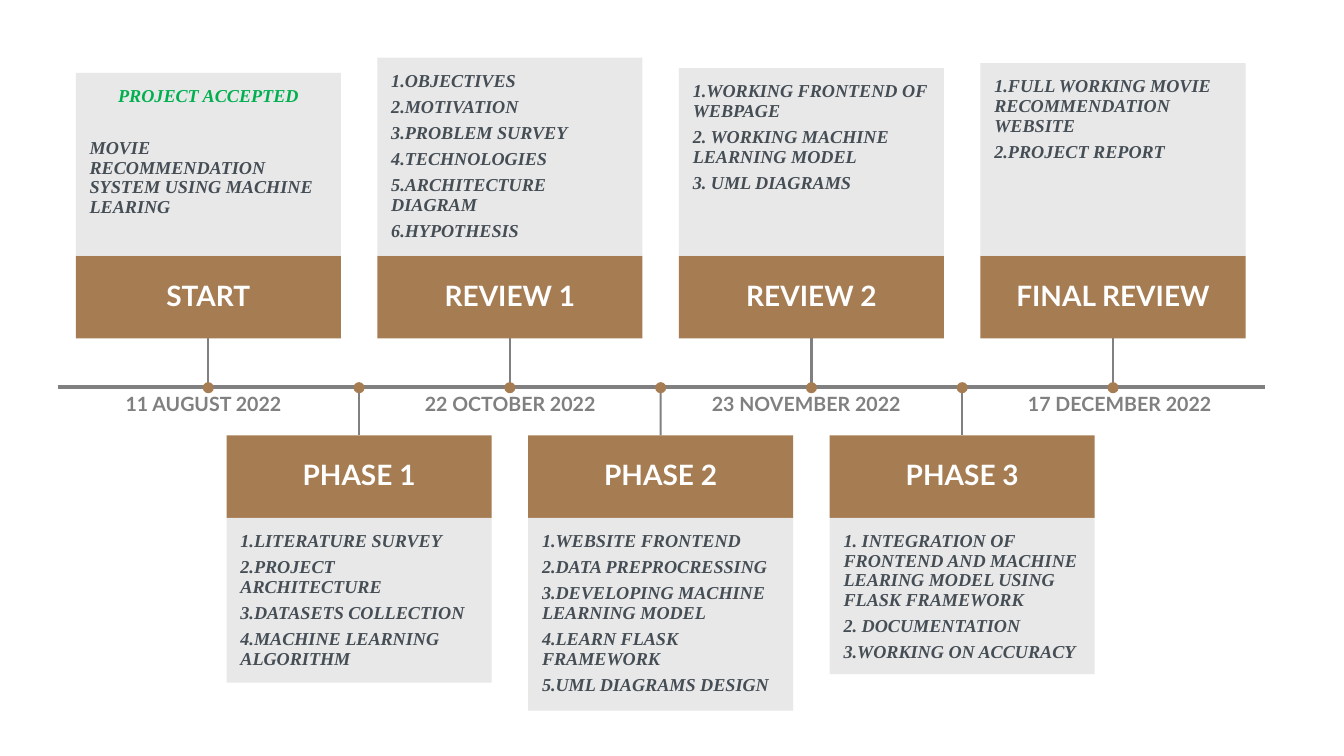
from lxml.etree import SubElement
from pptx import Presentation
from pptx.dml.color import RGBColor
from pptx.enum.shapes import MSO_CONNECTOR as Connector, MSO_SHAPE as Shape
from pptx.enum.text import MSO_ANCHOR as Anchor, PP_ALIGN as Align
from pptx.oxml.ns import qn
from pptx.util import Cm, Pt

BROWN = RGBColor(0xA6, 0x7C, 0x52)
PALE = RGBColor(0xE6, 0xE6, 0xE6)
GREY = RGBColor(0x80, 0x80, 0x80)
SLATE = RGBColor(0x45, 0x4D, 0x55)
GREEN = RGBColor(0x00, 0xB0, 0x50)
WHITE = RGBColor(0xFF, 0xFF, 0xFF)

# Stages alternate above and below the axis: title, detail height, details
STAGES = [
    ("START", 4.61, ["PROJECT ACCEPTED",
                     "MOVIE RECOMMENDATION SYSTEM USING MACHINE LEARING"]),
    ("PHASE 1", 4.15, ["1.LITERATURE SURVEY", "2.PROJECT ARCHITECTURE",
                       "3.DATASETS COLLECTION", "4.MACHINE LEARNING ALGORITHM"]),
    ("REVIEW 1", 5, ["1.OBJECTIVES", "2.MOTIVATION", "3.PROBLEM SURVEY",
                     "4.TECHNOLOGIES", "5.ARCHITECTURE DIAGRAM", "6.HYPOTHESIS"]),
    ("PHASE 2", 4.86, ["1.WEBSITE FRONTEND", "2.DATA PREPROCRESSING",
                       "3.DEVELOPING MACHINE LEARNING MODEL",
                       "4.LEARN FLASK FRAMEWORK", "5.UML DIAGRAMS DESIGN"]),
    ("REVIEW 2", 4.73, ["1.WORKING FRONTEND OF WEBPAGE",
                        "2. WORKING MACHINE LEARNING MODEL", "3. UML DIAGRAMS"]),
    ("PHASE 3", 3.94, ["1. INTEGRATION OF FRONTEND AND MACHINE LEARING MODEL "
                       "USING FLASK FRAMEWORK",
                       "2. DOCUMENTATION", "3.WORKING ON ACCURACY"]),
    ("FINAL REVIEW", 4.86, ["1.FULL WORKING MOVIE RECOMMENDATION WEBSITE",
                            "2.PROJECT REPORT"]),
]
DATES = [("11 AUGUST 2022", 5.13), ("22 OCTOBER 2022", 12.86),
         ("23 NOVEMBER 2022", 20.32), ("17 DECEMBER 2022", 28.22)]

FIRST_CENTER, STEP = 5.25, 3.8
BOX_WIDTH, HEADER_HEIGHT = 6.68, 2.08
AXIS_Y, STEM, DOT = 9.75, 1.22, 0.28
DATE_WIDTH = 5.6


def write(box, text, size=13, font="Times New Roman", color=SLATE, italic=False,
          align=Align.LEFT, anchor=Anchor.MIDDLE, inset=None, line=None, after=0):
    """Add text to the box as one more paragraph."""
    frame = box.text_frame
    frame.word_wrap = True
    frame.vertical_anchor = anchor
    if inset is not None:
        frame.margin_left = frame.margin_right = Cm(inset)
        frame.margin_top = frame.margin_bottom = Cm(inset)
    para = frame.add_paragraph() if frame.text else frame.paragraphs[0]
    para.alignment = align
    para.line_spacing = line
    para.space_after = Pt(after)
    span = para.add_run()
    span.text = text
    span.font.size = Pt(size)
    span.font.name = font
    span.font.bold = True
    span.font.italic = italic
    span.font.color.rgb = color


def draw(item, color, width=None):
    """Format a connector when a width is given, otherwise fill a shape."""
    if width:
        item.line.color.rgb = color
        item.line.width = Pt(width)
        SubElement(item._element.spPr, qn("a:effectLst"))
    else:
        item.shadow.inherit = False
        item.fill.solid()
        item.fill.fore_color.rgb = color
        item.line.fill.background()
    return item


deck = Presentation()
deck.slide_width, deck.slide_height = Cm(33.87), Cm(19.05)
page = deck.slides.add_slide(deck.slide_layouts[6])
shapes = page.shapes

draw(shapes.add_connector(Connector.STRAIGHT, Cm(1.45), Cm(AXIS_Y),
                          Cm(31.88), Cm(AXIS_Y)), GREY, 3)

for index, (title, height, details) in enumerate(STAGES):
    center = FIRST_CENTER + index * STEP
    left = center - BOX_WIDTH / 2
    above = index % 2 == 0
    header_top = AXIS_Y - STEM - HEADER_HEIGHT if above else AXIS_Y + STEM
    detail_top = header_top - height if above else header_top + HEADER_HEIGHT

    header = draw(shapes.add_shape(Shape.RECTANGLE, Cm(left), Cm(header_top),
                                   Cm(BOX_WIDTH), Cm(HEADER_HEIGHT)), BROWN)
    write(header, title, size=20, font="Lato", color=WHITE, align=Align.CENTER,
          inset=0.28, line=0.9)

    detail = draw(shapes.add_shape(Shape.RECTANGLE, Cm(left), Cm(detail_top),
                                   Cm(BOX_WIDTH), Cm(height)), PALE)
    tint = detail._element.spPr.find(qn("a:solidFill"))[0]
    SubElement(tint, qn("a:alpha"), val="90000")
    for text in details:
        accepted = text == "PROJECT ACCEPTED"
        write(detail, text, italic=True, color=GREEN if accepted else SLATE,
              align=Align.CENTER if accepted else Align.LEFT, anchor=Anchor.TOP,
              inset=0.35, line=0.9, after=23 if accepted else 4.55)

    stem = shapes.add_connector(Connector.STRAIGHT, Cm(center), Cm(AXIS_Y),
                                Cm(center), Cm(AXIS_Y))
    stem.begin_connect(header, 2 if above else 0)
    draw(stem, GREY, 1.5)
    draw(shapes.add_shape(Shape.OVAL, Cm(center - DOT / 2), Cm(AXIS_Y + 0.02 - DOT / 2),
                          Cm(DOT), Cm(DOT)), BROWN)

for date, center in DATES:
    label = shapes.add_textbox(Cm(center - DATE_WIDTH / 2), Cm(AXIS_Y),
                               Cm(DATE_WIDTH), Cm(0.86))
    write(label, date, size=14, font="Lato", color=GREY, align=Align.CENTER)

deck.save("out.pptx")
